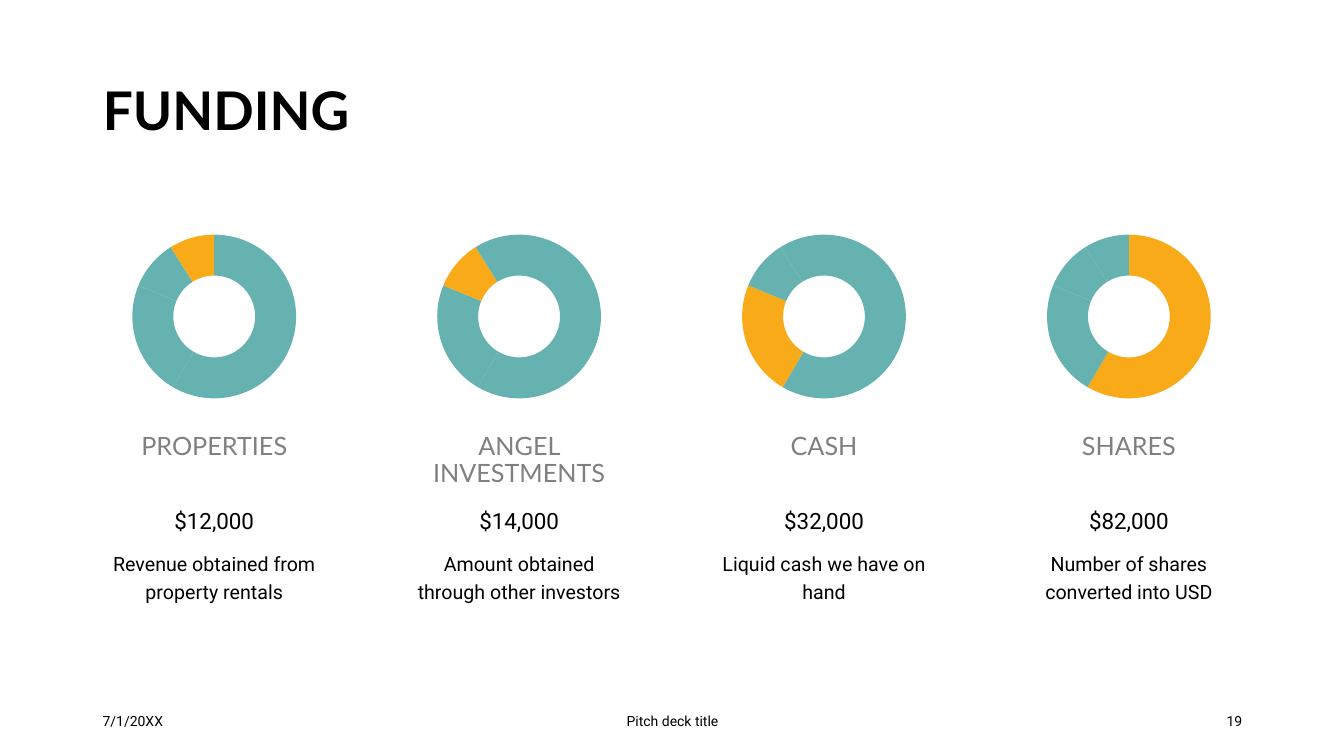
import pptx
import pptx.chart.data
import pptx.dml.color
import pptx.enum.chart
import pptx.enum.text
import pptx.util

Inches = pptx.util.Inches
Pt = pptx.util.Pt
ALIGN = pptx.enum.text.PP_ALIGN
ANCHOR = pptx.enum.text.MSO_ANCHOR

BLACK, GRAY, TEAL, AMBER = "000000", "808080", "66B2B0", "F9AA19"
HEAD_FONT, BODY_FONT = "Lato", "Roboto"


def color(hex_code):
    return pptx.dml.color.RGBColor.from_string(hex_code)


def write(shape, text, size, font=BODY_FONT, ink=BLACK, align=ALIGN.CENTER,
          anchor=ANCHOR.TOP, spacing=None, bold=False):
    """Fill a shape with one formatted paragraph."""
    frame = shape.text_frame
    frame.text = text
    frame.word_wrap = True
    frame.auto_size = pptx.enum.text.MSO_AUTO_SIZE.NONE
    frame.vertical_anchor = anchor
    line = frame.paragraphs[0]
    line.alignment = align
    line.line_spacing = spacing
    style = line.runs[0].font
    style.name, style.size, style.bold = font, Pt(size), bold
    style.color.rgb = color(ink)


deck = pptx.Presentation()
deck.slide_width = Inches(13.33)
deck.slide_height = Inches(7.5)
slide = deck.slides.add_slide(deck.slide_layouts[5])
shapes = slide.shapes

title = shapes.title
title.left, title.top = Inches(0.92), Inches(0.4)
title.width, title.height = Inches(11.5), Inches(1.45)
write(title, "FUNDING", 38, HEAD_FONT, align=ALIGN.LEFT,
      anchor=ANCHOR.MIDDLE, spacing=0.9, bold=True)

# Every ring shows all four shares and marks its own slice.
shares = [59, 23, 10, 9]
sources = [
    ("PROPERTIES", "$12,000", "Revenue obtained from property rentals", 3),
    ("ANGEL INVESTMENTS", "$14,000", "Amount obtained through other investors", 2),
    ("CASH", "$32,000", "Liquid cash we have on hand", 1),
    ("SHARES", "$82,000", "Number of shares converted into USD", 0),
]

for col, (name, amount, detail, marked) in enumerate(sources):
    left = 1 + col * 3.024

    data = pptx.chart.data.CategoryChartData()
    data.categories = ["1", "2", "3", "4"]
    data.add_series("Series 1", shares)
    chart = shapes.add_chart(
        pptx.enum.chart.XL_CHART_TYPE.DOUGHNUT, Inches(left + 0.125),
        Inches(2.19), Inches(2), Inches(1.9), data).chart
    chart.has_title = False
    chart.has_legend = False
    chart.font.name, chart.font.size = BODY_FONT, Pt(10)
    chart.font.color.rgb = color(BLACK)
    ring = chart.plots[0]
    ring.vary_by_categories = True
    ring.has_data_labels = False
    for i in range(len(shares)):
        slice_format = ring.series[0].points[i].format
        slice_format.fill.solid()
        slice_format.fill.fore_color.rgb = color(AMBER if i == marked else TEAL)
        slice_format.line.fill.background()

    for text, top, height, size, font, ink, spacing in [
        (name, 4.25, 0.6, 18, HEAD_FONT, GRAY, 0.9),
        (amount, 4.97, 0.3, 16, BODY_FONT, BLACK, Pt(20)),
        (detail, 5.38, 1, 14, BODY_FONT, BLACK, Pt(20)),
    ]:
        box = shapes.add_textbox(Inches(left), Inches(top),
                                 Inches(2.25), Inches(height))
        write(box, text, size, font, ink, spacing=spacing)

for text, left, width, align in [
    ("7/1/20XX", 0.92, 3, ALIGN.LEFT),
    ("Pitch deck title", 4.42, 4.5, ALIGN.CENTER),
    ("19", 9.42, 3, ALIGN.RIGHT),
]:
    box = shapes.add_textbox(Inches(left), Inches(6.95),
                             Inches(width), Inches(0.4))
    write(box, text, 10, align=align, anchor=ANCHOR.MIDDLE)

deck.save("out.pptx")
